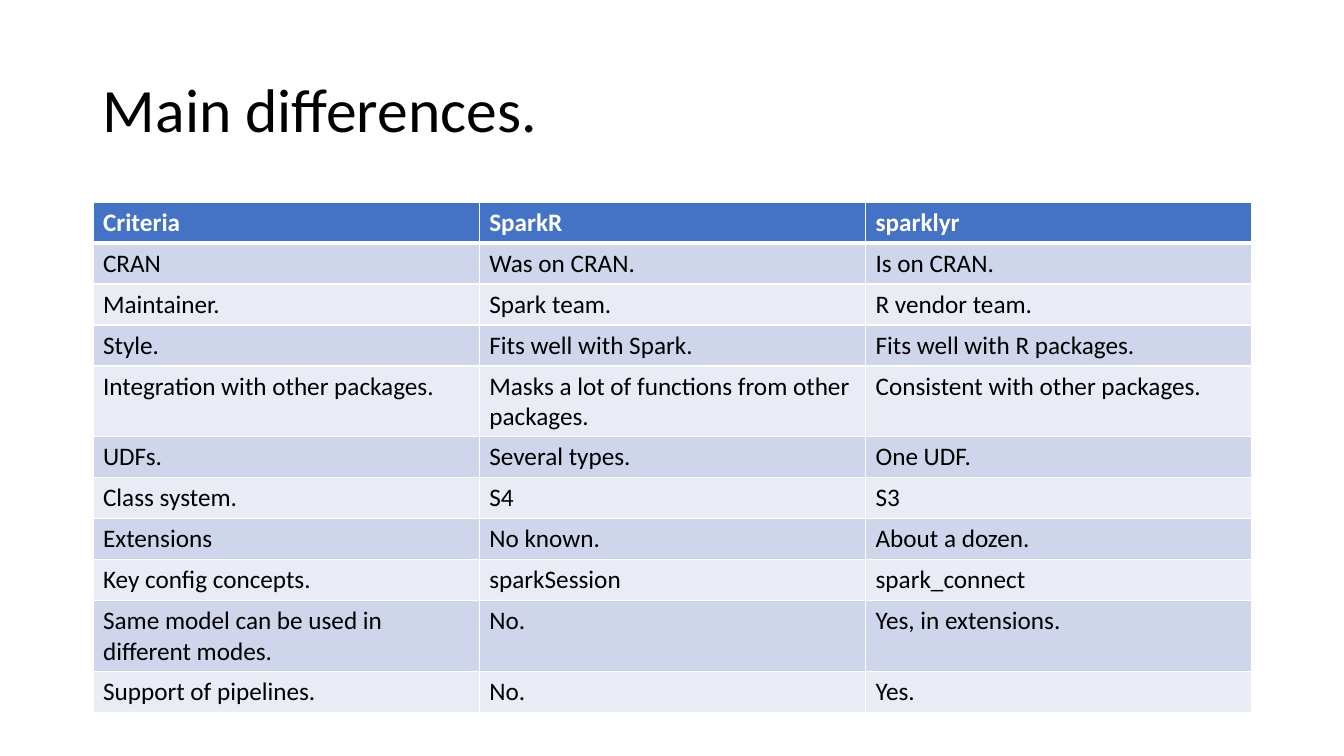
from lxml import etree
from pptx import Presentation
from pptx import util as u
from pptx.dml.color import RGBColor
from pptx.enum import text
from pptx.oxml.ns import qn

SCALE = 914400 / 100.8
FONT = "Calibri"
BLACK, WHITE, HEADER = "000000", "FFFFFF", "4472C4"
BANDS = ["CFD5EA", "E9EBF5"]
ROWS = [
    ("Criteria", "SparkR", "sparklyr"),
    ("CRAN", "Was on CRAN.", "Is on CRAN."),
    ("Maintainer.", "Spark team.", "R vendor team."),
    ("Style.", "Fits well with Spark.", "Fits well with R packages."),
    ("Integration with other packages.",
     "Masks a lot of functions from other packages.",
     "Consistent with other packages."),
    ("UDFs.", "Several types.", "One UDF."),
    ("Class system.", "S4", "S3"),
    ("Extensions", "No known.", "About a dozen."),
    ("Key config concepts.", "sparkSession", "spark_connect"),
    ("Same model can be used in different modes.", "No.",
     "Yes, in extensions."),
    ("Support of pipelines.", "No.", "Yes."),
]


def px(n):
    """Turn pixels into EMU."""
    return u.Emu(round(n * SCALE))


def rgb(code):
    """Turn a hex string into a colour."""
    return RGBColor.from_string(code)


def write(tf, words, size, color, bold=False):
    """Put one formatted run into a text frame and return its paragraph."""
    p = tf.paragraphs[0]
    r = p.add_run()
    r.text = words
    for name, value in dict(name=FONT, size=u.Pt(size), bold=bold).items():
        setattr(r.font, name, value)
    r.font.color.rgb = rgb(color)
    return p


def border(cell, widths):
    """Draw white cell borders, given a width in points for each side."""
    tc_pr = cell._tc.get_or_add_tcPr()
    for side, width in widths.items():
        ln = etree.SubElement(tc_pr, qn(f"a:ln{side}"), w=str(u.Pt(width)))
        fill = etree.SubElement(ln, qn("a:solidFill"))
        etree.SubElement(fill, qn("a:srgbClr"), val=WHITE)


def add_title(s, box, words):
    """Add the slide title, centred vertically in its box."""
    tf = s.shapes.add_textbox(*map(px, box)).text_frame
    tf.word_wrap = True
    tf.vertical_anchor = text.MSO_ANCHOR.MIDDLE
    write(tf, words, 44, BLACK).line_spacing = 0.9


def add_comparison(s, box, rows):
    """Add the table with a header row, banded rows and equal columns."""
    table = s.shapes.add_table(len(rows), len(rows[0]), *map(px, box)).table
    for i, row in enumerate(rows):
        head = i == 0
        for j, words in enumerate(row):
            cell = table.cell(i, j)
            border(cell, dict(L=1, R=1, T=3 if i == 1 else 1,
                              B=3 if head else 1))
            cell.fill.solid()
            cell.fill.fore_color.rgb = rgb(
                HEADER if head else BANDS[(i - 1) % 2])
            write(cell.text_frame, words, 18, WHITE if head else BLACK, head)


prs = Presentation()
prs.slide_width, prs.slide_height = px(1344), px(756)
s = prs.slides.add_slide(prs.slide_layouts[6])
add_title(s, (93, 40, 1159, 146), "Main differences.")
add_comparison(s, (93, 202, 1159, 41 * len(ROWS)), ROWS)
prs.save("out.pptx")
